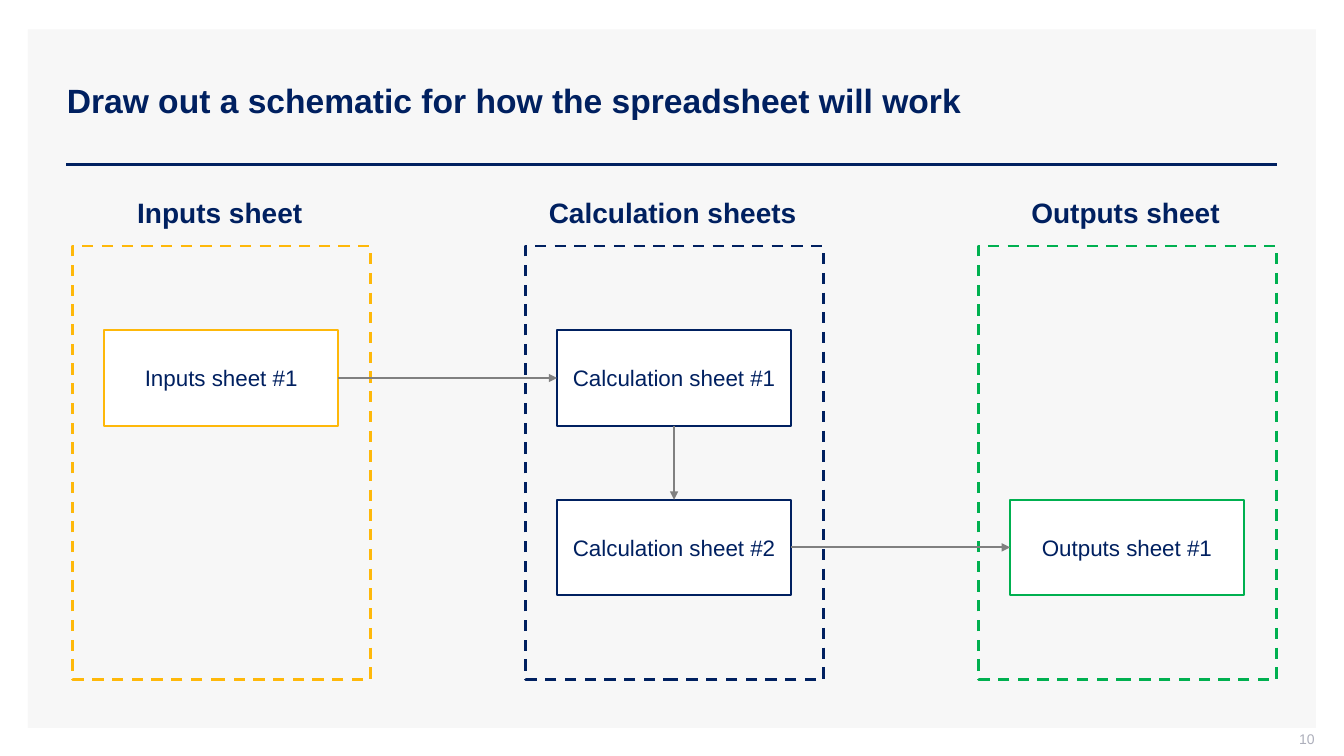
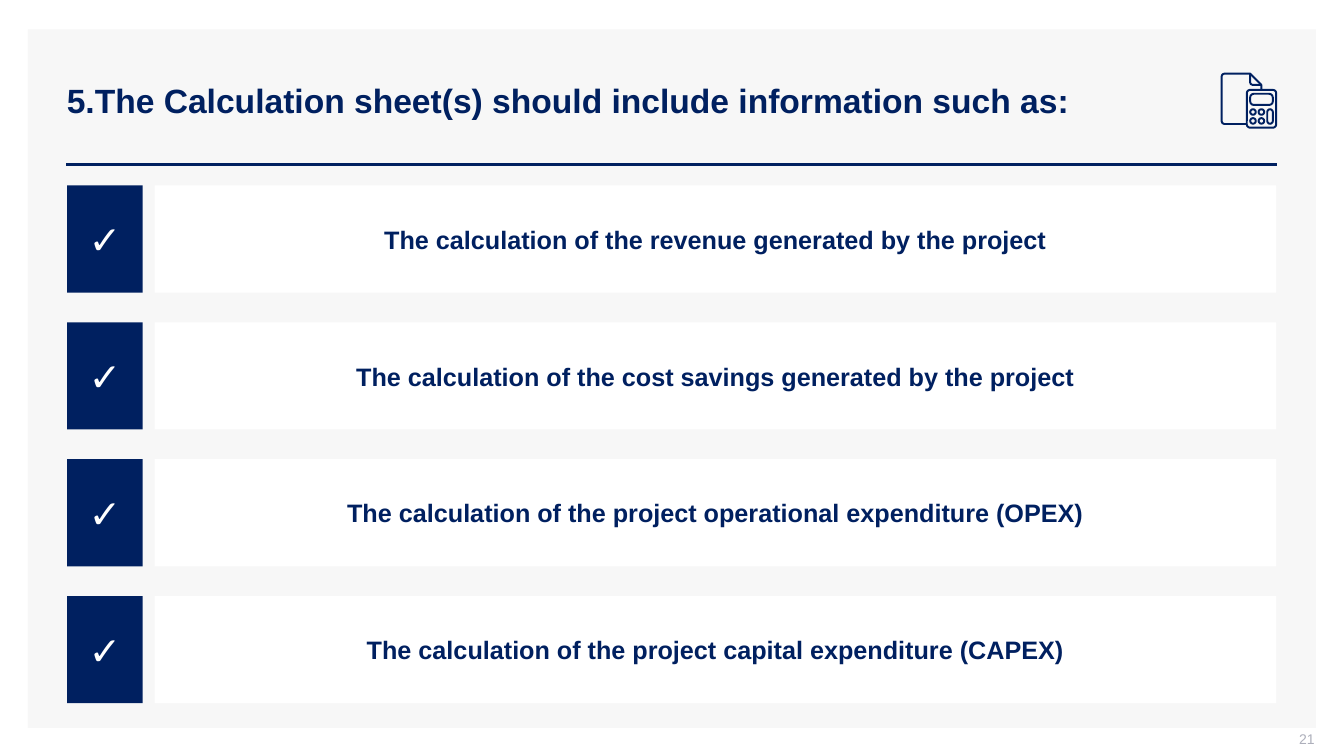
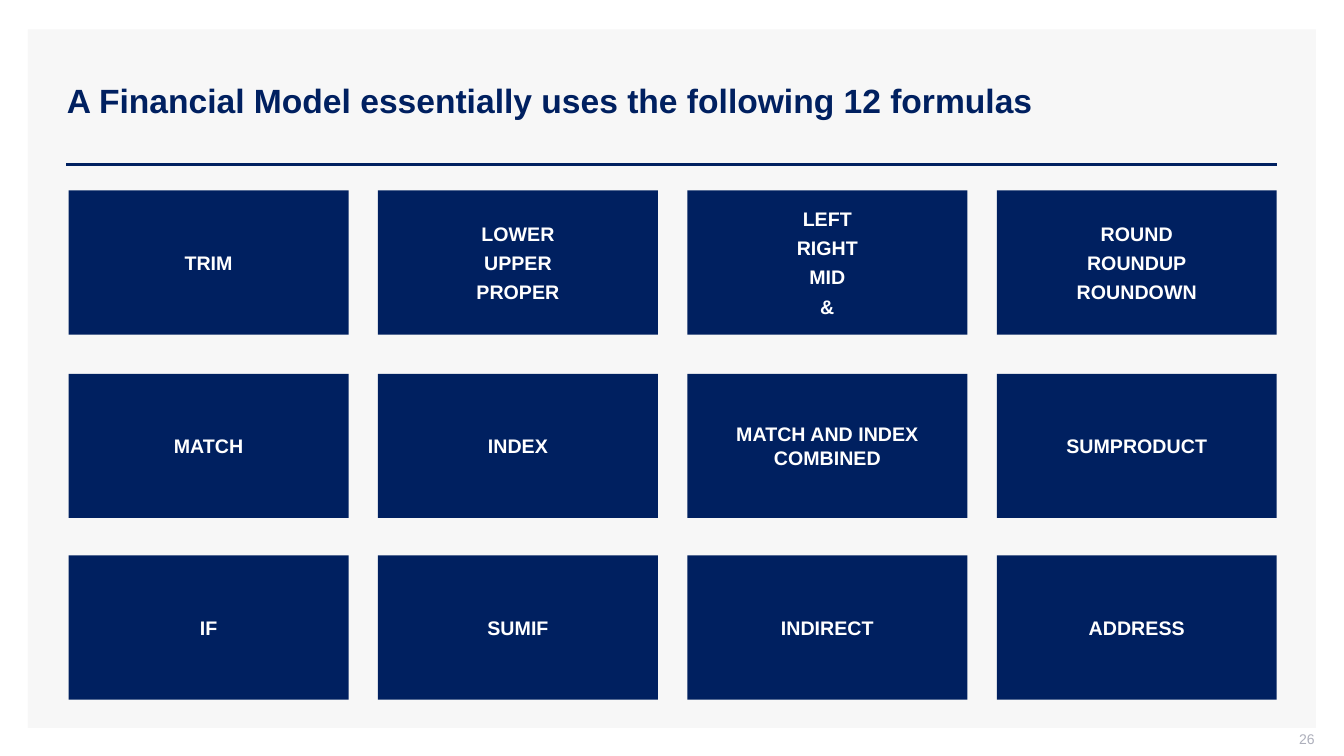
"""Build three slides on planning a financial model."""
from itertools import product

from lxml import etree
from pptx import Presentation
from pptx.dml.color import RGBColor as Rgb
from pptx.enum.dml import MSO_LINE as Dash
from pptx.enum.shapes import MSO_CONNECTOR as Conn, MSO_SHAPE as Form
from pptx.enum.text import MSO_ANCHOR as Anchor, MSO_AUTO_SIZE as Fit, PP_ALIGN as Align
from pptx.oxml.ns import qn
from pptx.util import Pt

HUES = {
    "navy": "002060",
    "gold": "FEB80A",
    "green": "00B050",
    "gray": "808080",
    "pale": "F7F7F7",
    "mute": "ADAFBB",
    "white": "FFFFFF",
}
FONT = "Arial"
LEFT = 48


def hue(name):
    return Rgb.from_string(HUES[name])


def paint(shape, fill=None, line=None, width=1.5, dash=None):
    shape.shadow.inherit = False
    if fill:
        shape.fill.solid()
        shape.fill.fore_color.rgb = hue(fill)
    else:
        shape.fill.background()
    if line:
        shape.line.color.rgb = hue(line)
        shape.line.width = Pt(width)
        shape.line.dash_style = dash
    else:
        shape.line.fill.background()
    return shape


def write(shape, text, size, color="navy", bold=False, align=Align.CENTER, gap=0):
    frame = shape.text_frame
    frame.text = text
    frame.word_wrap = True
    frame.auto_size = Fit.NONE
    frame.vertical_anchor = Anchor.MIDDLE
    for index, para in enumerate(frame.paragraphs):
        para.alignment = align
        if gap:
            para.space_before = Pt(gap if index else 0)
            para.space_after = Pt(gap)
        for run in para.runs:
            run.font.name = FONT
            run.font.size = Pt(size)
            run.font.bold = bold
            run.font.color.rgb = hue(color)
    return frame


def block(shapes, area, form=Form.RECTANGLE, **look):
    return paint(shapes.add_shape(form, *map(Pt, area)), **look)


def label(slide, area, text, size, **style):
    return write(slide.shapes.add_textbox(*map(Pt, area)), text, size, **style)


def link(slide, ends, color, width):
    line = slide.shapes.add_connector(Conn.STRAIGHT, *map(Pt, ends))
    line.line.color.rgb = hue(color)
    line.line.width = Pt(width)
    etree.SubElement(line.element.spPr, qn("a:effectLst"))
    return line


def arrow(slide, start, exit, end, entry):
    line = link(slide, (0, 0, 0, 0), "gray", 1.5)
    line.begin_connect(start, exit)
    line.end_connect(end, entry)
    etree.SubElement(line.line._get_or_add_ln(), qn("a:tailEnd"), type="triangle")


def dress(slide):
    """Move the shared panel and rule to the layout of the slide."""
    panel = block(slide.shapes, (20, 21, 920, 499), fill="pale")
    rule = link(slide, (47.5, 117.5, 912, 117.5), "navy", 2)
    tree = slide.slide_layout.shapes.element
    tree.insert(2, panel.element)
    tree.insert(3, rule.element)


def page(deck, title, number):
    slide = deck.slides.add_slide(deck.slide_layouts[5])
    head = slide.shapes.title
    head.left, head.top, head.width, head.height = map(Pt, (40.5, 29, 872, 85.5))
    write(head, title, 24, bold=True, align=Align.LEFT)
    frame = label(slide, (723, 522, 216, 15), number, 10, color="mute", align=Align.RIGHT)
    frame.margin_top = frame.margin_right = 0
    return slide


def flow(slide):
    heads = (("Inputs sheet", "gold"), ("Calculation sheets", "navy"), ("Outputs sheet", "green"))
    lefts = [52 + 323.5 * col for col in range(3)]
    for left, (text, color) in zip(lefts, heads):
        block(slide.shapes, (left, 175.75, 213, 309.5), line=color, width=2, dash=Dash.DASH)
        label(slide, (left + 8.5, 135.5, 193, 32), text, 20, bold=True)
    nodes = []
    for text, col, row in (
        ("Inputs sheet #1", 0, 0),
        ("Calculation sheet #1", 1, 0),
        ("Calculation sheet #2", 1, 1),
        ("Outputs sheet #1", 2, 1),
    ):
        area = (lefts[col] + 22.5, 236 + 121 * row, 167, 68)
        node = block(slide.shapes, area, fill="white", line=heads[col][1])
        write(node, text, 16)
        nodes.append(node)
    first, calc, next_calc, last = nodes
    arrow(slide, first, 3, calc, 1)
    arrow(slide, calc, 2, next_calc, 0)
    arrow(slide, next_calc, 3, last, 1)


def checks(slide, lines):
    for row, text in enumerate(lines):
        top = 132.5 + 97.75 * row
        tick = block(slide.shapes, (LEFT, top, 54, 76.5), fill="navy")
        write(tick, "✓", 28, color="white")
        bar = block(slide.shapes, (110.5, top, 801, 76.5), fill="white")
        write(bar, text, 18, bold=True)


def trace(shapes, points):
    start, *rest = [tuple(map(Pt, point)) for point in points]
    pen = shapes.build_freeform(*start)
    pen.add_line_segments(rest, close=False)
    paint(pen.convert_to_shape(), line="navy", width=1.4)


def icon(slide):
    """Draw a sheet of paper with a calculator in front."""
    parts = slide.shapes.add_group_shape().shapes
    trace(parts, (
        (890.6, 88.6), (874.6, 88.6), (873.2, 88), (872.6, 86.6), (872.6, 54.6),
        (873.2, 53.2), (874.6, 52.6), (893, 52.6), (901, 60.6), (901, 64),
    ))
    trace(parts, ((893, 52.6), (893, 59), (893.5, 60.1), (894.6, 60.6), (901, 60.6)))
    for area, bend in (
        ((890.6, 64.2, 21, 27), 0.11),
        ((893, 67, 16.2, 8), 0.33),
        ((905.2, 78, 4, 10.4), 0.5),
    ):
        key = block(parts, area, Form.ROUNDED_RECTANGLE, line="navy", width=1.4)
        key.adjustments[0] = bend
    for left, top in product((893, 899), (78, 84.4)):
        block(parts, (left, top, 4, 4), Form.OVAL, line="navy", width=1.4)


def tiles(slide, names):
    spots = product((136, 267, 396.75), range(4))
    for (top, col), text in zip(spots, names):
        tile = block(slide.shapes, (49 + 221 * col, top, 200, 103), fill="navy")
        write(tile, text, 14, color="white", bold=True, gap=2)


def main():
    deck = Presentation()
    deck.slide_width, deck.slide_height = Pt(960), Pt(540)

    plan = page(deck, "Draw out a schematic for how the spreadsheet will work", "10")
    dress(plan)
    flow(plan)

    calcs = page(deck, "5.The Calculation sheet(s) should include information such as:", "21")
    checks(calcs, (
        "The calculation of the revenue generated by the project",
        "The calculation of the cost savings generated by the project",
        "The calculation of the project operational expenditure (OPEX)",
        "The calculation of the project capital expenditure (CAPEX)",
    ))
    icon(calcs)

    terms = page(deck, "A Financial Model essentially uses the following 12 formulas", "26")
    tiles(terms, (
        "TRIM", "LOWER\nUPPER\nPROPER", "LEFT\nRIGHT\nMID\n&", "ROUND\nROUNDUP\nROUNDOWN",
        "MATCH", "INDEX", "MATCH AND INDEX COMBINED", "SUMPRODUCT",
        "IF", "SUMIF", "INDIRECT", "ADDRESS",
    ))
    deck.save("out.pptx")


if __name__ == "__main__":
    main()
